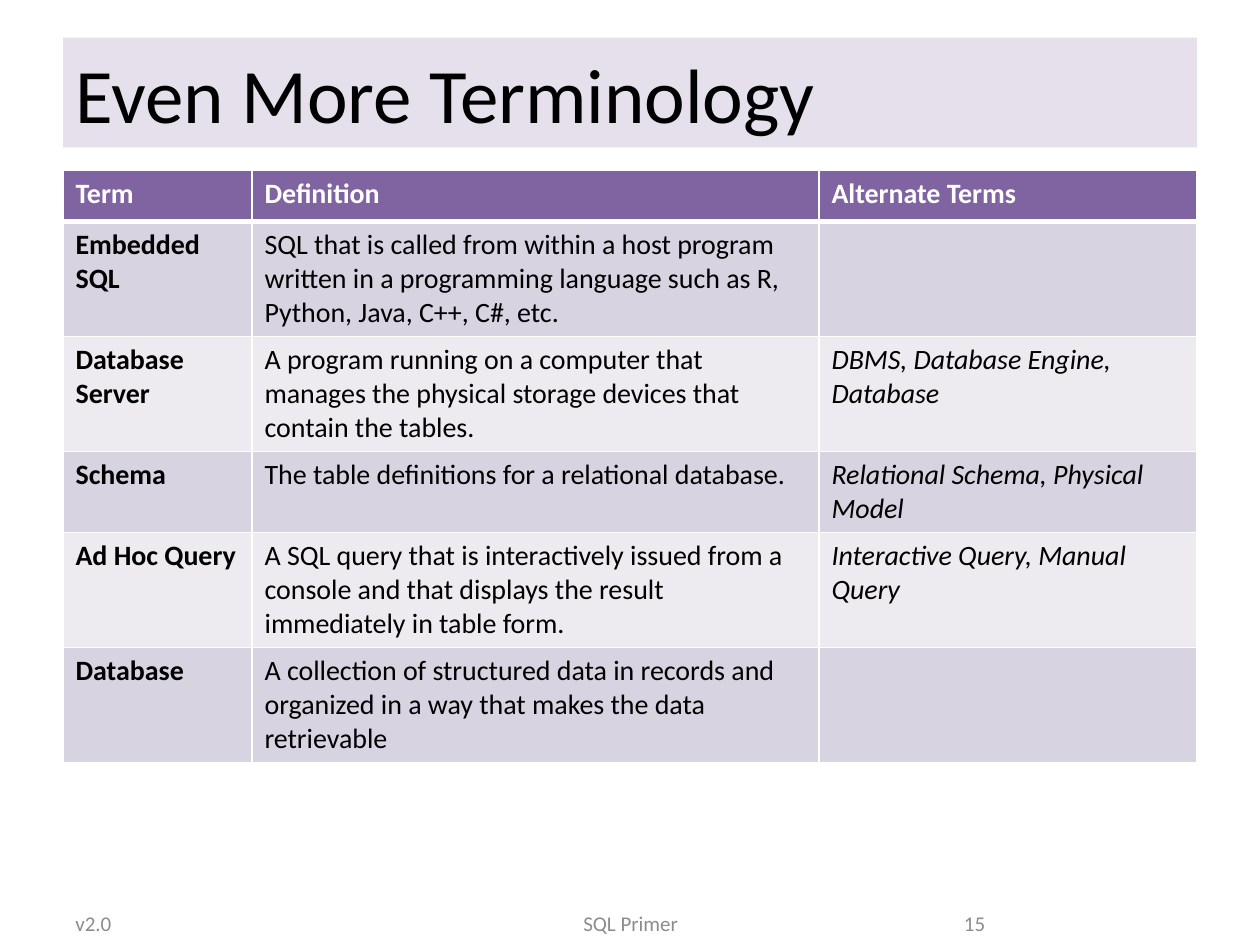
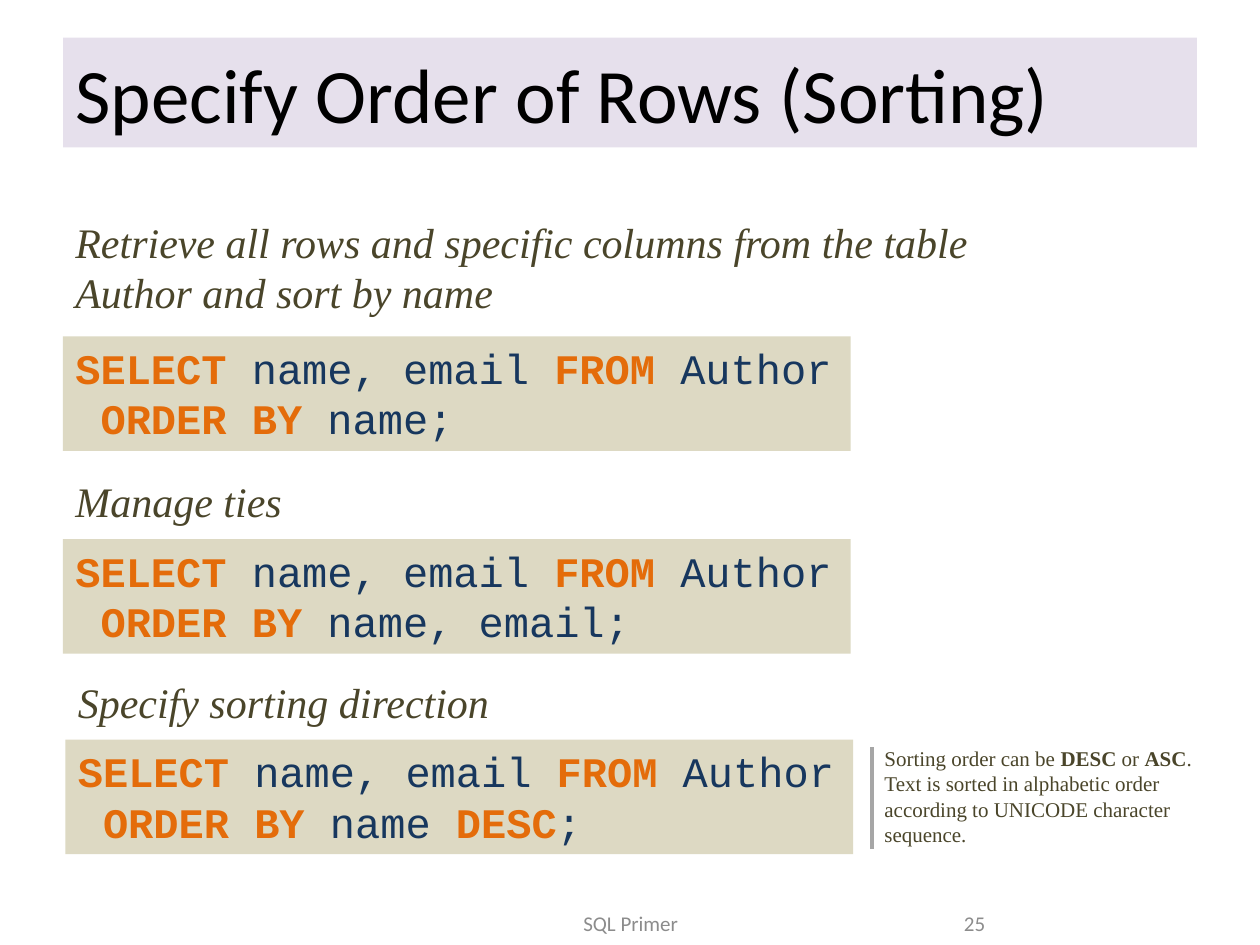
from lxml.etree import SubElement
from pptx import Presentation
from pptx.dml.color import RGBColor
from pptx.enum.shapes import MSO_CONNECTOR, MSO_SHAPE
from pptx.enum.text import MSO_ANCHOR as Anchor, MSO_AUTO_SIZE as AutoSize, PP_ALIGN as Align
from pptx.oxml.ns import qn
from pptx.util import Cm, Pt

BLACK = RGBColor(0x00, 0x00, 0x00)
WHITE = RGBColor(0xFF, 0xFF, 0xFF)
LAVENDER = RGBColor(0xE6, 0xE0, 0xEC)
PURPLE = RGBColor(0x80, 0x64, 0xA2)
ROW_DARK = RGBColor(0xD8, 0xD3, 0xE0)
ROW_LIGHT = RGBColor(0xED, 0xEA, 0xF0)
GREY = RGBColor(0x8C, 0x8C, 0x8C)
RULE_GREY = RGBColor(0xA6, 0xA6, 0xA6)
SAND = RGBColor(0xDD, 0xD9, 0xC3)
ORANGE = RGBColor(0xE4, 0x6C, 0x0A)
NAVY = RGBColor(0x17, 0x37, 0x5E)
OLIVE = RGBColor(0x4A, 0x45, 0x2A)

LEFT, WIDTH = 1.27, 22.86
FOOTER_TOP, FOOTER_HEIGHT = 18.21, 0.79
FOOTER_PLACES = [(1.27, 5.92, Align.LEFT), (8.69, 8.05, Align.CENTER), (18.21, 1.9, Align.RIGHT)]

TITLE = {"name": "Calibri", "size": Pt(44), "color": BLACK}
FOOTER = {"name": "Calibri", "size": Pt(12), "color": GREY}
CELL = {"name": "Calibri", "size": Pt(16), "color": BLACK}
HEADER = {**CELL, "color": WHITE, "bold": True}
COLUMN_FORMATS = [{**CELL, "bold": True}, CELL, {**CELL, "italic": True}]
CAPTION = {"name": "Times New Roman", "size": Pt(24), "color": OLIVE, "italic": True}
NOTE = {"name": "Times New Roman", "size": Pt(12), "color": OLIVE}
CODE = {"name": "Courier New", "size": Pt(24), "color": NAVY}
KEYWORD = {**CODE, "color": ORANGE, "bold": True}

COLUMN_WIDTHS = [3.81, 11.43, 7.62]
ROW_HEIGHTS = [1.03, 2.32, 2.32, 1.63, 2.32, 2.32]
TERMS = [
    ("Term", "Definition", "Alternate Terms"),
    ("Embedded SQL",
     "SQL that is called from within a host program written in a programming language "
     "such as R, Python, Java, C++, C#, etc.", ""),
    ("Database Server",
     "A program running on a computer that manages the physical storage devices "
     "that contain the tables.", "DBMS, Database Engine, Database"),
    ("Schema", "The table definitions for a relational database.",
     "Relational Schema, Physical Model"),
    ("Ad Hoc Query",
     "A SQL query that is interactively issued from a console and that displays the result "
     "immediately in table form.", "Interactive Query, Manual Query"),
    ("Database",
     "A collection of structured data in records and organized in a way that makes the data "
     "retrievable", ""),
]

SELECT_LINE = "*SELECT *name, email *FROM *Author"
QUERIES = [
    {"left": 1.27, "caption_top": 4.24, "caption_height": 2.31, "code_top": 6.78,
     "caption": "Retrieve all rows and specific columns from the table Author and sort by name",
     "code": [SELECT_LINE, " *ORDER BY *name;"]},
    {"left": 1.27, "caption_top": 9.47, "caption_height": 1.27, "code_top": 10.87,
     "caption": "Manage ties",
     "code": [SELECT_LINE, " *ORDER BY *name, email;"]},
    {"left": 1.32, "caption_top": 13.51, "caption_height": 1.27, "code_top": 14.91,
     "caption": "Specify sorting direction",
     "code": [SELECT_LINE, " *ORDER BY *name *DESC*;"]},
]
SORT_NOTE = ("Sorting order can be *DESC* or *ASC*. Text is sorted in alphabetic order "
             "according to UNICODE character sequence.")


def set_font(font, formats):
    """Apply a dict of format values to a font."""
    for name, value in formats.items():
        if name == "color":
            font.color.rgb = value
        else:
            setattr(font, name, value)


def write(frame, lines, plain, strong=None, align=Align.LEFT, spacing=None):
    """Fill a text frame with lines whose starred parts take the strong format."""
    for index, line in enumerate(lines):
        paragraph = frame.add_paragraph() if index else frame.paragraphs[0]
        paragraph.alignment = align
        paragraph.line_spacing = spacing
        for position, part in enumerate(line.split("*")):
            if part:
                run = paragraph.add_run()
                run.text = part
                set_font(run.font, strong if position % 2 else plain)


def add_text(slide, box, text, formats, **options):
    """Add a wrapping text box and return its frame."""
    frame = slide.shapes.add_textbox(*map(Cm, box)).text_frame
    frame.word_wrap = True
    write(frame, [text], formats, **options)
    return frame


def add_slide(presentation, title_text, footers):
    """Add a slide with the title band and the footer texts."""
    slide = presentation.slides.add_slide(presentation.slide_layouts[5])
    title = slide.shapes.title
    title.left, title.top, title.width, title.height = map(Cm, (LEFT, 0.76, WIDTH, 2.21))
    title.fill.solid()
    title.fill.fore_color.rgb = LAVENDER
    title.text_frame.auto_size = AutoSize.NONE
    title.text_frame.vertical_anchor = Anchor.MIDDLE
    write(title.text_frame, [title_text], TITLE)
    for text, (left, width, align) in zip(footers, FOOTER_PLACES):
        if text:
            box = (left, FOOTER_TOP, width, FOOTER_HEIGHT)
            add_text(slide, box, text, FOOTER, align=align).vertical_anchor = Anchor.MIDDLE
    return slide


def set_borders(cell, bottom):
    """Draw white borders round a cell, the bottom one in its own width."""
    properties = cell._tc.get_or_add_tcPr()
    widths = {"a:lnL": 1, "a:lnR": 1, "a:lnT": 1, "a:lnB": bottom}
    for index, (tag, width) in enumerate(widths.items()):
        line = SubElement(properties, qn(tag), w=str(Pt(width)))
        SubElement(SubElement(line, qn("a:solidFill")), qn("a:srgbClr"), val=str(WHITE))
        properties.insert(index, line)


def add_terms_table(slide):
    """Add the table of terms with its header and alternating rows."""
    box = (LEFT, 3.43, WIDTH, sum(ROW_HEIGHTS))
    table = slide.shapes.add_table(len(TERMS), len(COLUMN_WIDTHS), *map(Cm, box)).table
    for column, width in zip(table.columns, COLUMN_WIDTHS):
        column.width = Cm(width)
    for row_index, texts in enumerate(TERMS):
        table.rows[row_index].height = Cm(ROW_HEIGHTS[row_index])
        is_header = row_index == 0
        colour = PURPLE if is_header else ROW_DARK if row_index % 2 else ROW_LIGHT
        for column_index, text in enumerate(texts):
            cell = table.cell(row_index, column_index)
            cell.fill.solid()
            cell.fill.fore_color.rgb = colour
            set_borders(cell, 3 if is_header else 1)
            formats = HEADER if is_header else COLUMN_FORMATS[column_index]
            write(cell.text_frame, [text], formats)


def add_query(slide, query):
    """Add a caption and the code panel below it."""
    panel_box = (query["left"], query["code_top"], 15.88, 2.31)
    panel = slide.shapes.add_shape(MSO_SHAPE.RECTANGLE, *map(Cm, panel_box))
    panel.shadow.inherit = False
    panel.fill.solid()
    panel.fill.fore_color.rgb = SAND
    panel.line.fill.background()
    frame = panel.text_frame
    frame.word_wrap = False
    frame.auto_size = AutoSize.SHAPE_TO_FIT_TEXT
    frame.vertical_anchor = Anchor.TOP
    write(frame, query["code"], CODE, KEYWORD, spacing=Pt(28.8))
    caption_box = (query["left"], query["caption_top"], 20.12, query["caption_height"])
    add_text(slide, caption_box, query["caption"], CAPTION, spacing=Pt(28.8))


def add_sort_note(slide):
    """Add the side note with the grey rule at its left edge."""
    left = 17.58
    add_text(slide, (left, 14.91, 6.99, 2.31), SORT_NOTE, NOTE,
             strong={**NOTE, "bold": True}, spacing=Pt(14.4))
    ends = map(Cm, (left, 15.06, left, 17.12))
    rule = slide.shapes.add_connector(MSO_CONNECTOR.STRAIGHT, *ends)
    rule.line.color.rgb = RULE_GREY
    rule.line.width = Pt(2.5)
    SubElement(rule._element.spPr, qn("a:effectLst"))


def main():
    """Build the two slides and save them."""
    presentation = Presentation()
    presentation.slide_width, presentation.slide_height = Cm(25.4), Cm(19.05)
    terms_slide = add_slide(presentation, "Even More Terminology", ("v2.0", "SQL Primer", "15"))
    add_terms_table(terms_slide)
    sorting_slide = add_slide(presentation, "Specify Order of Rows (Sorting)",
                              ("", "SQL Primer", "25"))
    for query in QUERIES:
        add_query(sorting_slide, query)
    add_sort_note(sorting_slide)
    presentation.save("out.pptx")


if __name__ == "__main__":
    main()
